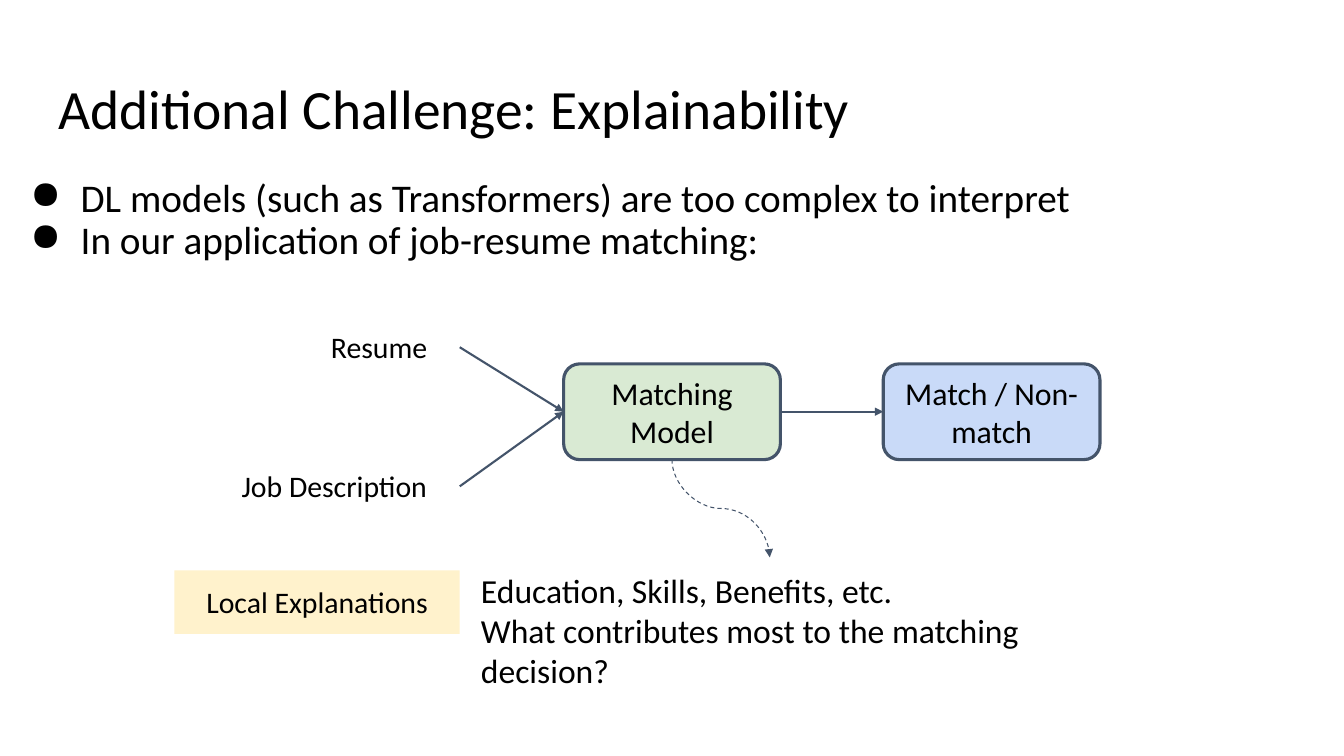
from lxml import etree
from pptx import Presentation
from pptx.dml.color import RGBColor
from pptx.enum.dml import MSO_LINE
from pptx.enum.shapes import MSO_CONNECTOR, MSO_SHAPE
from pptx.enum.text import MSO_ANCHOR, MSO_AUTO_SIZE, PP_ALIGN
from pptx.oxml.ns import qn
from pptx.util import Inches, Pt

ROUNDED, RECTANGLE = MSO_SHAPE.ROUNDED_RECTANGLE, MSO_SHAPE.RECTANGLE
STRAIGHT, CURVE = MSO_CONNECTOR.STRAIGHT, MSO_CONNECTOR.CURVE
LEFT, CENTER = PP_ALIGN.LEFT, PP_ALIGN.CENTER
TOP_SIDE, LEFT_SIDE, BOTTOM_SIDE, RIGHT_SIDE = range(4)

FONT = "Calibri"
INSET = Inches(0.13)
COLORS = {
    "text": "000000",
    "line": "44546A",
    "model": "D9EAD3",
    "result": "C9DAF8",
    "highlight": "FFF2CC",
}


def color(name):
    return RGBColor.from_string(COLORS[name])


def write(shape, *paragraphs, size, align=LEFT, anchor=MSO_ANCHOR.TOP,
          spacing=None, bullet=None):
    frame = shape.text_frame
    frame.word_wrap = True
    frame.auto_size = MSO_AUTO_SIZE.NONE
    frame.vertical_anchor = anchor
    frame.margin_left = frame.margin_right = INSET
    frame.margin_top = frame.margin_bottom = INSET
    frame.text = "\n".join(paragraphs)
    for paragraph in frame.paragraphs:
        paragraph.alignment = align
        paragraph.line_spacing = spacing
        paragraph.space_before = Pt(0)
        paragraph.font.size = Pt(size)
        for run in paragraph.runs:
            run.font.name = FONT
            run.font.size = Pt(size)
            run.font.color.rgb = color("text")
        if bullet:
            add_bullet(paragraph, bullet)


def add_bullet(paragraph, char):
    properties = paragraph._p.get_or_add_pPr()
    properties.set("marL", str(Inches(0.67)))
    properties.set("indent", str(Inches(-0.5)))
    etree.SubElement(properties, qn("a:buChar")).set("char", char)


def add_text(slide, left, top, width, height, *paragraphs, **text_format):
    box = slide.shapes.add_textbox(
        Inches(left), Inches(top), Inches(width), Inches(height))
    write(box, *paragraphs, **text_format)
    return box


def add_box(slide, kind, left, top, width, height, fill, *paragraphs,
            outline=None, **text_format):
    box = slide.shapes.add_shape(
        kind, Inches(left), Inches(top), Inches(width), Inches(height))
    box.shadow.inherit = False
    box.fill.solid()
    box.fill.fore_color.rgb = color(fill)
    if outline:
        box.line.color.rgb = color("line")
        box.line.width = Pt(outline)
    else:
        box.line.fill.background()
    write(box, *paragraphs, align=CENTER, **text_format)
    return box


def style_arrow(arrow, width):
    arrow.line.color.rgb = color("line")
    arrow.line.width = Pt(width)
    etree.SubElement(arrow.line._get_or_add_ln(), qn("a:tailEnd")).set("type", "triangle")
    etree.SubElement(arrow._element.spPr, qn("a:effectLst"))


def join(slide, source, target):
    """Draw an arrow from the right side of source to the left side of target."""
    arrow = slide.shapes.add_connector(STRAIGHT, 0, 0, 0, 0)
    arrow.begin_connect(source, RIGHT_SIDE)
    arrow.end_connect(target, LEFT_SIDE)
    style_arrow(arrow, 1.5)


def add_dashed_curve(slide, source, reach):
    """Draw an S-curve that leaves the bottom of source and ends pointing down."""
    x = source.left + source.width // 2
    y = source.top + source.height
    arrow = slide.shapes.add_connector(CURVE, x, y, x + reach, y + reach)
    arrow.begin_connect(source, BOTTOM_SIDE)
    transform = arrow._element.spPr.find(qn("a:xfrm"))
    transform.set("rot", str(270 * 60000))
    transform.set("flipH", "1")
    arrow.line.dash_style = MSO_LINE.DASH
    style_arrow(arrow, 0.75)


def main():
    deck = Presentation()
    deck.slide_width, deck.slide_height = Inches(13.33), Inches(7.5)
    slide = deck.slides.add_slide(deck.slide_layouts[5])

    title = slide.shapes.title
    title.left, title.top = Inches(0.45), Inches(0.68)
    title.width, title.height = Inches(12.42), Inches(0.84)
    write(title, "Additional Challenge: Explainability", size=39.6, spacing=0.9)

    add_text(slide, 0, 1.64, 12.42, 1.67,
             "DL models (such as Transformers) are too complex to interpret",
             "In our application of job-resume matching:",
             size=28, spacing=0.9, bullet="●")

    resume = add_text(slide, 2.96, 3.13, 1.6, 0.63, "Resume",
                      size=21.3, align=CENTER)
    job = add_text(slide, 2.07, 4.51, 2.49, 0.63, "Job Description",
                   size=21.3, align=CENTER)

    step = {"outline": 2.25, "size": 22.7, "anchor": MSO_ANCHOR.MIDDLE}
    model = add_box(slide, ROUNDED, 5.59, 3.61, 2.15, 0.95, "model",
                    "Matching", "Model", **step)
    result = add_box(slide, ROUNDED, 8.76, 3.61, 2.15, 0.95, "result",
                     "Match / Non-match", **step)

    for source, target in ((resume, model), (job, model), (model, result)):
        join(slide, source, target)
    add_dashed_curve(slide, model, Inches(0.97))

    add_text(slide, 4.64, 5.52, 5.99, 1.48,
             "Education, Skills, Benefits, etc.",
             "What contributes most to the matching decision?", size=24)
    add_box(slide, RECTANGLE, 1.73, 5.66, 2.83, 0.63, "highlight",
            "Local Explanations", size=21.3)

    deck.save("out.pptx")


if __name__ == "__main__":
    main()
